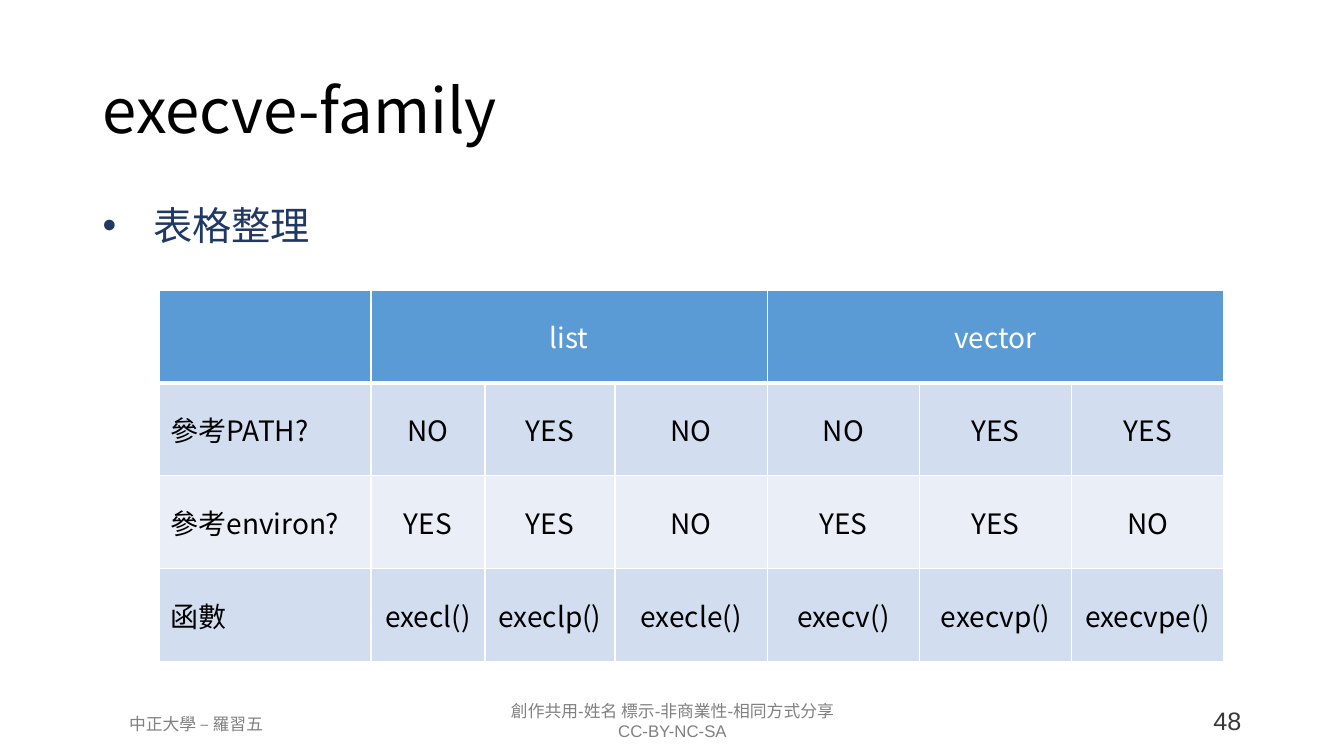
import pptx
import pptx.util
import pptx.dml.color
import pptx.enum.text
import pptx.oxml
from pptx.oxml.ns import nsdecls
from pptx.util import Inches, Pt

SANS, ARIAL = "Noto Sans CJK SC", "Arial"
ALIGN = pptx.enum.text.PP_ALIGN
ANCHOR = pptx.enum.text.MSO_ANCHOR

# lines, place, size, font, colour, alignment, anchor
TEXTS = {
    "license": (["創作共用-姓名 標示-非商業性-相同方式分享", "CC-BY-NC-SA"],
                (4.21, 6.9, 4.92, 0.5), 12, ARIAL, "808080", ALIGN.CENTER, ANCHOR.TOP),
    "author": (["中正大學 – 羅習五"],
               (0.69, 7.03, 2.51, 0.3), 12, ARIAL, "808080", ALIGN.CENTER, ANCHOR.TOP),
    "number": (["48"],
               (9.96, 6.95, 2.45, 0.4), 18, ARIAL, "3B3838", ALIGN.RIGHT, ANCHOR.TOP),
    "title": (["execve-family"],
              (0.92, 0.4, 11.5, 1.45), 44, SANS, "000000", ALIGN.LEFT, ANCHOR.MIDDLE),
    "body": (["表格整理"],
             (0.92, 2, 11.5, 4.76), 28, SANS, "203864", ALIGN.LEFT, ANCHOR.TOP),
}
ROWS = [
    ["", "list", "", "", "vector", "", ""],
    ["參考PATH?", "NO", "YES", "NO", "NO", "YES", "YES"],
    ["參考environ?", "YES", "YES", "NO", "YES", "YES", "NO"],
    ["函數", "execl()", "execlp()", "execle()", "execv()", "execvp()", "execvpe()"],
]
FILLS = ["5B9BD5", "D2DEEF", "EAEFF7", "D2DEEF"]
WIDTHS = [2.1, 1.13, 1.29] + [1.51] * 4
LEFT, TOP, HIGH = 1.58, 2.88, 0.92
SPANS = [(1, 3), (4, 6)]


def color(code):
    return pptx.dml.color.RGBColor.from_string(code)


def write(para, text, size, face, code, align):
    para.alignment = align
    run = para.add_run()
    run.text = text
    font = run.font
    font.size, font.name, font.bold = Pt(size), face, False
    font.color.rgb = color(code)
    # East Asian letters take their own face
    east = f'<a:ea {nsdecls("a")} typeface="{SANS}"/>'
    run._r.get_or_add_rPr().find(pptx.oxml.ns.qn("a:latin")).addnext(
        pptx.oxml.parse_xml(east))


def add_text(slide, lines, place, size, face, code, align, anchor):
    box = slide.shapes.add_textbox(*map(Inches, place))
    frame = box.text_frame
    frame.word_wrap = True
    frame.vertical_anchor = anchor
    for i, line in enumerate(lines):
        para = frame.add_paragraph() if i else frame.paragraphs[0]
        write(para, line, size, face, code, align)
    return frame.paragraphs[0]


def add_bullet(para):
    props = para._p.get_or_add_pPr()
    props.set("marL", str(Inches(0.5)))
    props.set("indent", str(Inches(-0.5)))
    for tag in ('buFont {} typeface="Arial"', 'buChar {} char="•"'):
        props.append(pptx.oxml.parse_xml(f"<a:{tag.format(nsdecls('a'))}/>"))


def add_edges(cell, row):
    """White borders, with a thick one under the header."""
    props = cell._tc.get_or_add_tcPr()
    thick = {(0, "B"), (1, "T")}
    for side in "LRTB":
        width = Pt(3 if (row, side) in thick else 1)
        props.append(pptx.oxml.parse_xml(
            f'<a:ln{side} {nsdecls("a")} w="{width}"><a:solidFill>'
            f'<a:srgbClr val="FFFFFF"/></a:solidFill></a:ln{side}>'))


def add_grid(slide):
    shape = slide.shapes.add_table(
        len(ROWS), len(WIDTHS), Inches(LEFT), Inches(TOP),
        Inches(sum(WIDTHS)), Inches(HIGH * len(ROWS)))
    table = shape.table
    table.first_row = table.horz_banding = False
    for col, width in zip(table.columns, WIDTHS):
        col.width = Inches(width)
    for r, (row, fill) in enumerate(zip(ROWS, FILLS)):
        table.rows[r].height = Inches(HIGH)
        for c, text in enumerate(row):
            cell = table.cell(r, c)
            add_edges(cell, r)
            cell.fill.solid()
            cell.fill.fore_color.rgb = color(fill)
            cell.vertical_anchor = ANCHOR.MIDDLE
            cell.margin_left = cell.margin_right = Inches(0.11)
            if text:
                write(cell.text_frame.paragraphs[0], text, 20, SANS,
                      "000000" if r else "FFFFFF",
                      ALIGN.CENTER if c else ALIGN.LEFT)
    for first, last in SPANS:
        table.cell(0, first).merge(table.cell(0, last))


def main():
    deck = pptx.Presentation()
    deck.slide_width, deck.slide_height = Inches(13.33), Inches(7.5)
    slide = deck.slides.add_slide(deck.slide_layouts[6])
    paras = {name: add_text(slide, *item) for name, item in TEXTS.items()}
    for name in ("title", "body"):
        paras[name].line_spacing = 0.9
    add_bullet(paras["body"])
    add_grid(slide)
    deck.save("out.pptx")


if __name__ == "__main__":
    main()
